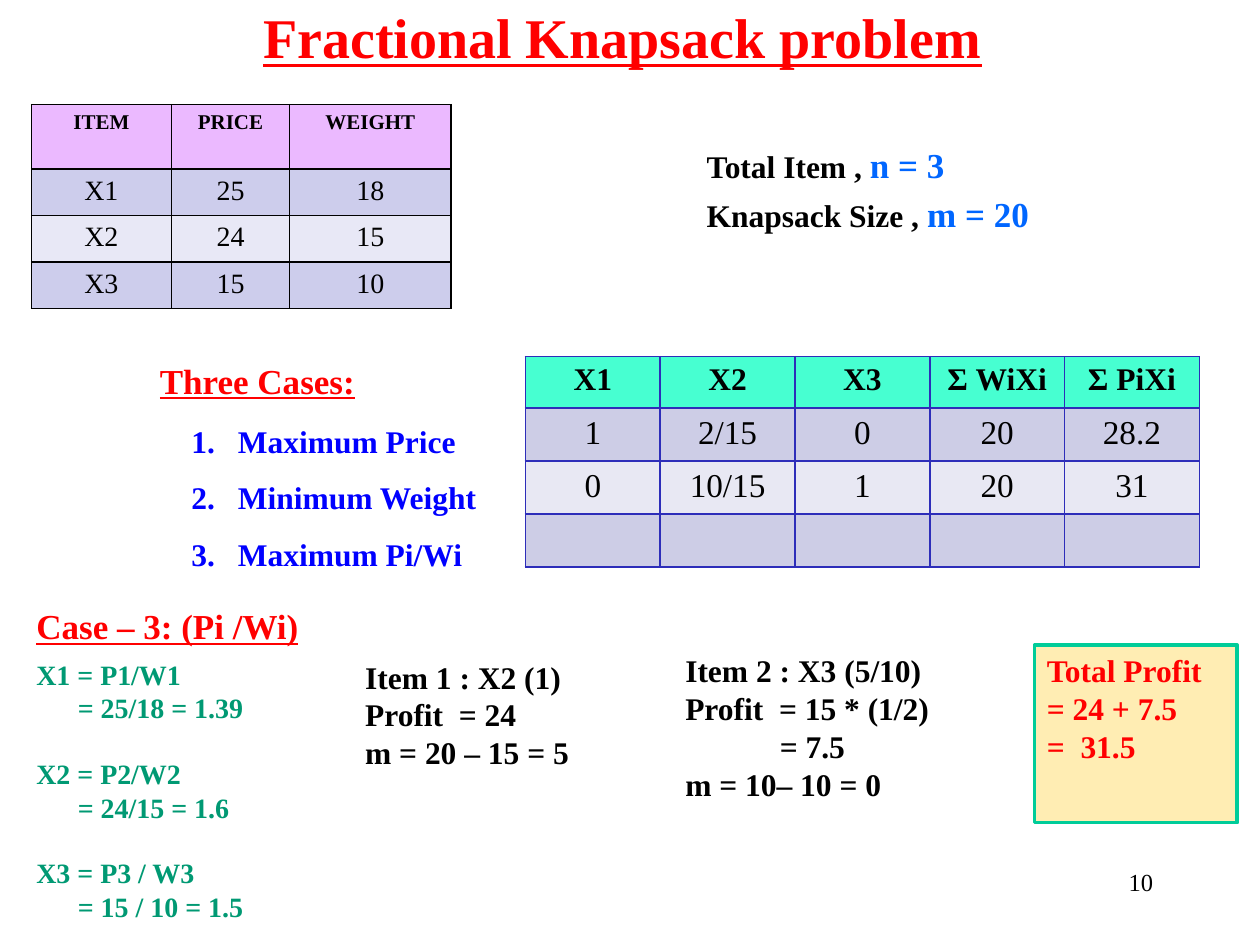
from pptx import Presentation, util as u
from pptx.dml.color import RGBColor
from pptx.enum import shapes, text
from pptx.oxml import parse_xml
from pptx.oxml.ns import nsdecls

Inches, Pt = u.Inches, u.Pt
FONT = "Times New Roman"
BLACK = RGBColor(0x00, 0x00, 0x00)
RED = RGBColor(0xFF, 0x00, 0x00)
BLUE = RGBColor(0x00, 0x00, 0xFF)
SKY = RGBColor(0x00, 0x66, 0xFF)
GREEN = RGBColor(0x00, 0x99, 0x73)
TEAL = RGBColor(0x00, 0xCC, 0x99)
CREAM = RGBColor(0xFF, 0xED, 0xB3)
PINK = RGBColor(0xEB, 0xB9, 0xFF)
AQUA = RGBColor(0x47, 0xFF, 0xD1)
NAVY = RGBColor(0x2D, 0x2D, 0xB9)
LILAC = RGBColor(0xCD, 0xCD, 0xEC)
PALE_LILAC = RGBColor(0xE8, 0xE8, 0xF6)
GREY = RGBColor(0xCD, 0xCD, 0xE6)
PALE_GREY = RGBColor(0xE8, 0xE8, 0xF3)


def style(p, size, color=BLACK, bold=True, underline=None, align=None):
    p.alignment = align
    for r in p.runs:
        f = r.font
        f.name, f.size, f.bold, f.underline = FONT, Pt(size), bold, underline
        f.color.rgb = color


def add_text(s, left, top, width, height, lines, size, color=BLACK):
    sp = s.shapes.add_textbox(Inches(left), Inches(top), Inches(width), Inches(height))
    tf = sp.text_frame
    tf.word_wrap = True
    tf.text = "\n".join(lines)
    for p in tf.paragraphs:
        style(p, size, color)
    return tf


prs = Presentation()
prs.slide_width, prs.slide_height = Inches(10), Inches(7.5)
s = prs.slides.add_slide(prs.slide_layouts[5])

sp = s.shapes.title
sp.left, sp.top, sp.width, sp.height = Inches(0.38), Inches(0), Inches(9.12), Inches(0.58)
tf = sp.text_frame
tf.text = "Fractional Knapsack problem"
tf.vertical_anchor = text.MSO_ANCHOR.MIDDLE
style(tf.paragraphs[0], 32, RED, underline=True, align=text.PP_ALIGN.CENTER)

items = [
    ["ITEM", "PRICE", "WEIGHT"],
    ["X1", "25", "18"],
    ["X2", "24", "15"],
    ["X3", "15", "10"],
]
solutions = [
    ["X1", "X2", "X3", "Σ WiXi", "Σ PiXi"],
    ["1", "2/15", "0", "20", "28.2"],
    ["0", "10/15", "1", "20", "31"],
    [""] * 5,
]
tables = [
    (items, 0.25, 0.83, [1.11, 0.94, 1.28], [0.51, 0.37, 0.37, 0.37],
     12, 16, PINK, LILAC, PALE_LILAC, BLACK),
    (solutions, 4.17, 2.83, [1.07] * 5, [0.41, 0.42, 0.42, 0.42],
     18, 19, AQUA, GREY, PALE_GREY, NAVY),
]
for rows, left, top, widths, heights, head_size, size, head, odd, even, border in tables:
    tbl = s.shapes.add_table(len(rows), len(widths), Inches(left), Inches(top),
                             Inches(sum(widths)), Inches(sum(heights))).table
    for col, width in zip(tbl.columns, widths):
        col.width = Inches(width)
    for i, row in enumerate(rows):
        tbl.rows[i].height = Inches(heights[i])
        for j, value in enumerate(row):
            cell = tbl.cell(i, j)
            cell.text = value
            style(cell.text_frame.paragraphs[0], size if i else head_size,
                  bold=i == 0, align=text.PP_ALIGN.CENTER)
            tcPr = cell._tc.get_or_add_tcPr()
            for side in "LRTB":
                tcPr.append(parse_xml(
                    f'<a:ln{side} {nsdecls("a")} w="12700"><a:solidFill>'
                    f'<a:srgbClr val="{border}"/></a:solidFill></a:ln{side}>'))
            cell.fill.solid()
            cell.fill.fore_color.rgb = head if i == 0 else odd if i % 2 else even

tf = add_text(s, 7.17, 6.83, 2.08, 0.5, ["10"], 14)
style(tf.paragraphs[0], 14, bold=False, align=text.PP_ALIGN.RIGHT)

tf = add_text(s, 5.51, 1.09, 3.99, 0.99, ["Total Item , ", "Knapsack Size , "], 18)
for p, value in zip(tf.paragraphs, ["n = 3", "m = 20"]):
    f = p.add_run().font
    p.runs[1].text = value
    f.name, f.size, f.bold = FONT, Pt(20), True
    f.color.rgb = SKY
tf.paragraphs[1].space_before = Pt(4)

tf = add_text(s, 0.92, 2.8, 3.17, 1.95,
              ["Three Cases:", "Maximum Price", "Minimum Weight", "Maximum Pi/Wi"], 18, BLUE)
heading, *cases = tf.paragraphs
style(heading, 20, RED, underline=True)
heading._p.get_or_add_pPr().set("marL", str(Inches(0.25)))
heading.space_after = Pt(1)
for p in cases:
    p.level = 1
    p.line_spacing = 1.5
    pPr = p._p.get_or_add_pPr()
    pPr.set("marL", str(Inches(0.87)))
    pPr.set("indent", str(Inches(-0.37)))
    pPr.append(parse_xml(f'<a:buClr {nsdecls("a")}><a:srgbClr val="{BLUE}"/></a:buClr>'))
    pPr.append(parse_xml(f'<a:buAutoNum {nsdecls("a")} type="arabicPeriod"/>'))

tf = add_text(s, 0.19, 4.75, 2.3, 2.68,
              ["Case – 3: (Pi /Wi)", "X1 = P1/W1", "= 25/18 = 1.39", "X2 = P2/W2",
               "= 24/15 = 1.6", "X3 = P3 / W3", "= 15 / 10 = 1.5"], 16, GREEN)
heading, *ratios = tf.paragraphs
style(heading, 20, RED, underline=True)
for i, p in enumerate(ratios):
    if i % 2:
        p._p.get_or_add_pPr().set("marL", str(Inches(0.33)))
    else:
        p.space_before = Pt(18.4 if i else 6)

add_text(s, 2.8, 5.17, 1.84, 1.41,
         ["Item 1 : X2 (1)", "Profit  = 24", "m = 20 – 15 = 5"], 18)

tf = add_text(s, 5.34, 5.12, 2.22, 1.72,
              ["Item 2 : X3 (5/10)", "Profit  = 15 * (1/2)", "= 7.5", "m = 10– 10 = 0"], 18)
tf.paragraphs[2]._p.get_or_add_pPr().set("marL", str(Inches(0.75)))

sp = s.shapes.add_shape(shapes.MSO_SHAPE.RECTANGLE,
                        Inches(8.21), Inches(5.12), Inches(1.61), Inches(1.41))
sp.shadow.inherit = False
sp.fill.solid()
sp.fill.fore_color.rgb = CREAM
sp.line.color.rgb = TEAL
sp.line.width = Pt(2)
tf = sp.text_frame
tf.vertical_anchor = text.MSO_ANCHOR.TOP
tf.text = "Total Profit\n= 24 + 7.5\n=  31.5"
for p in tf.paragraphs:
    style(p, 18, RED, align=text.PP_ALIGN.LEFT)

prs.save("out.pptx")
